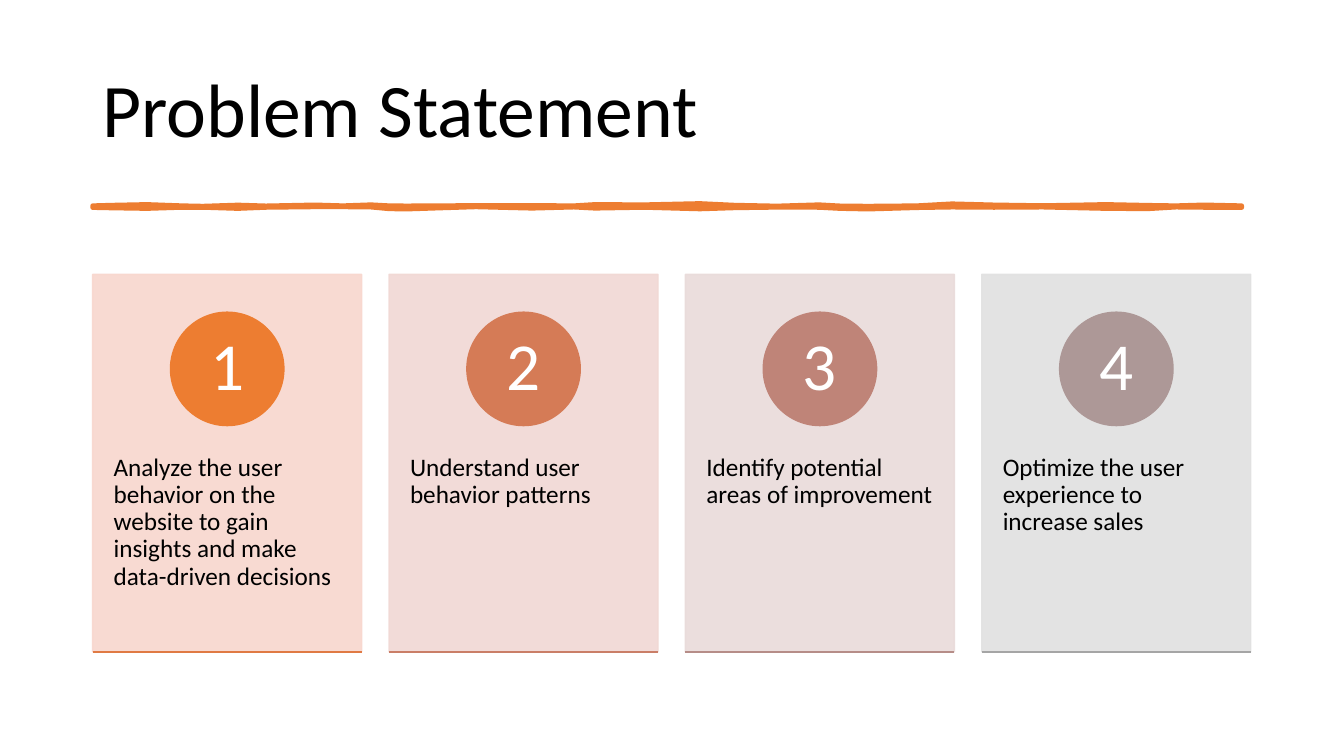
from dataclasses import dataclass

from lxml import etree
from pptx import Presentation
from pptx.dml.color import RGBColor
from pptx.enum import shapes, text
from pptx.oxml import ns
from pptx.util import Pt


@dataclass(frozen=True)
class Theme:
    font: str = "Calibri"
    ink: str = "000000"
    paper: str = "FFFFFF"
    accent: str = "ED7D31"
    title_size: float = 54
    number_size: float = 48
    body_size: float = 18


THEME = Theme()
CARD_LEFT, CARD_TOP, CARD_PITCH = 66.2, 196, 211.7
CARD_WIDTH, CARD_HEIGHT, CIRCLE = 192.2, 269.6, 81
CARDS = [
    ("Analyze the user behavior on the website to gain insights and make data-driven decisions",
     "F8D7CE", "ED7D31", "E07A44"),
    ("Understand user behavior patterns", "F1D8D4", "D57B56", "CA7E67"),
    ("Identify potential areas of improvement", "E9DBDA", "BF8478", "B68D88"),
    ("Optimize the user experience to increase sales", "E1E1E1", "AD9897", "A5A5A5"),
]
BRUSH_EDGES = [
    (66.2, 146.9, 148.3), (80, 146.5, 148.6), (105, 146, 149), (130, 146.9, 148.2),
    (145, 147.2, 148.2), (170, 146.4, 149), (190, 147, 148.2), (225, 146.3, 147.8),
    (245, 146.9, 147.8), (265, 146.2, 148), (278, 146.9, 149.2), (290, 147, 149.4),
    (315, 146.9, 148.6), (340, 146.7, 147.8), (380, 146.7, 148.8), (410, 146.9, 148),
    (425, 146, 148.8), (460, 146.2, 148.2), (500, 145.3, 149.3), (525, 146.5, 148.5),
    (555, 147.1, 148.1), (585, 146.2, 148.2), (600, 147, 149), (620, 147.2, 149.4),
    (655, 146.9, 148.4), (680, 145.5, 148), (710, 146.3, 148.2), (745, 146.8, 148),
    (790, 146, 149), (820, 146.6, 149.2), (840, 146.9, 148), (860, 146.3, 148.2),
    (887, 146.9, 148.3),
]


def color(code):
    """Turn a hex code into a colour."""
    return RGBColor.from_string(code)


def paint(s, code, width=1, alpha=None):
    """Give a shape one colour for fill and line, without a shadow."""
    s.shadow.inherit = False
    s.fill.solid()
    s.fill.fore_color.rgb = s.line.color.rgb = color(code)
    s.line.width = Pt(width)
    if alpha:
        for node in s._element.spPr.iter(ns.qn("a:srgbClr")):
            etree.SubElement(node, ns.qn("a:alpha"), val=str(alpha * 1000))


def write(s, words, size, code, align, anchor, insets=(7.2, 3.6)):
    """Put one formatted paragraph into a shape."""
    tf = s.text_frame
    tf.text = words
    tf.word_wrap = True
    tf.auto_size = text.MSO_AUTO_SIZE.NONE
    tf.vertical_anchor = anchor
    tf.margin_left = tf.margin_right = Pt(insets[0])
    tf.margin_top = tf.margin_bottom = Pt(insets[1])
    p = tf.paragraphs[0]
    p.alignment, p.line_spacing = align, 0.9
    p.font.name, p.font.size = THEME.font, Pt(size)
    p.font.color.rgb = color(code)


def add_title(slide, words):
    """Place and format the title placeholder."""
    s = slide.shapes.title
    s.left, s.top, s.width, s.height = Pt(66), Pt(28.8), Pt(828), Pt(104.4)
    write(s, words, THEME.title_size, THEME.ink,
          text.PP_ALIGN.LEFT, text.MSO_ANCHOR.MIDDLE)


def add_brush_rule(slide):
    """Draw the uneven brush stroke below the title."""
    upper = [(Pt(x), Pt(top)) for x, top, _ in BRUSH_EDGES]
    lower = [(Pt(x), Pt(bottom)) for x, _, bottom in reversed(BRUSH_EDGES)]
    builder = slide.shapes.build_freeform(*upper[0])
    builder.add_line_segments(upper[1:] + lower, close=True)
    s = builder.convert_to_shape()
    paint(s, THEME.accent, 3.25)
    etree.SubElement(s.line._get_or_add_ln(), ns.qn("a:round"))


def add_base_line(slide, left, top, code):
    """Draw the thin line along the foot of a card."""
    s = slide.shapes.add_connector(shapes.MSO_CONNECTOR.STRAIGHT, Pt(left), Pt(top),
                                   Pt(left + CARD_WIDTH), Pt(top))
    s.line.color.rgb = color(code)
    s.line.width = Pt(1)
    etree.SubElement(s._element.spPr, ns.qn("a:effectLst"))


def add_card(slide, index, words, back, disc, base):
    """Draw a numbered card with its text and foot line."""
    left = CARD_LEFT + index * CARD_PITCH
    card = slide.shapes.add_shape(shapes.MSO_SHAPE.RECTANGLE, Pt(left), Pt(CARD_TOP),
                                  Pt(CARD_WIDTH), Pt(CARD_HEIGHT))
    paint(card, back, alpha=90)
    body = slide.shapes.add_textbox(Pt(left), Pt(298.6), Pt(CARD_WIDTH), Pt(162))
    write(body, words, THEME.body_size, THEME.ink,
          text.PP_ALIGN.LEFT, text.MSO_ANCHOR.TOP, (15, 26))
    circle = slide.shapes.add_shape(
        shapes.MSO_SHAPE.OVAL, Pt(left + (CARD_WIDTH - CIRCLE) / 2),
        Pt(CARD_TOP + 27), Pt(CIRCLE), Pt(CIRCLE))
    paint(circle, disc)
    write(circle, str(index + 1), THEME.number_size, THEME.paper,
          text.PP_ALIGN.CENTER, text.MSO_ANCHOR.MIDDLE, (6.5, 0.7))
    add_base_line(slide, left, CARD_TOP + CARD_HEIGHT, base)


def main():
    """Build the problem statement slide."""
    prs = Presentation()
    prs.slide_width, prs.slide_height = Pt(960), Pt(540)
    slide = prs.slides.add_slide(prs.slide_layouts[5])
    add_title(slide, "Problem Statement")
    add_brush_rule(slide)
    for index, card in enumerate(CARDS):
        add_card(slide, index, *card)
    prs.save("out.pptx")


if __name__ == "__main__":
    main()
